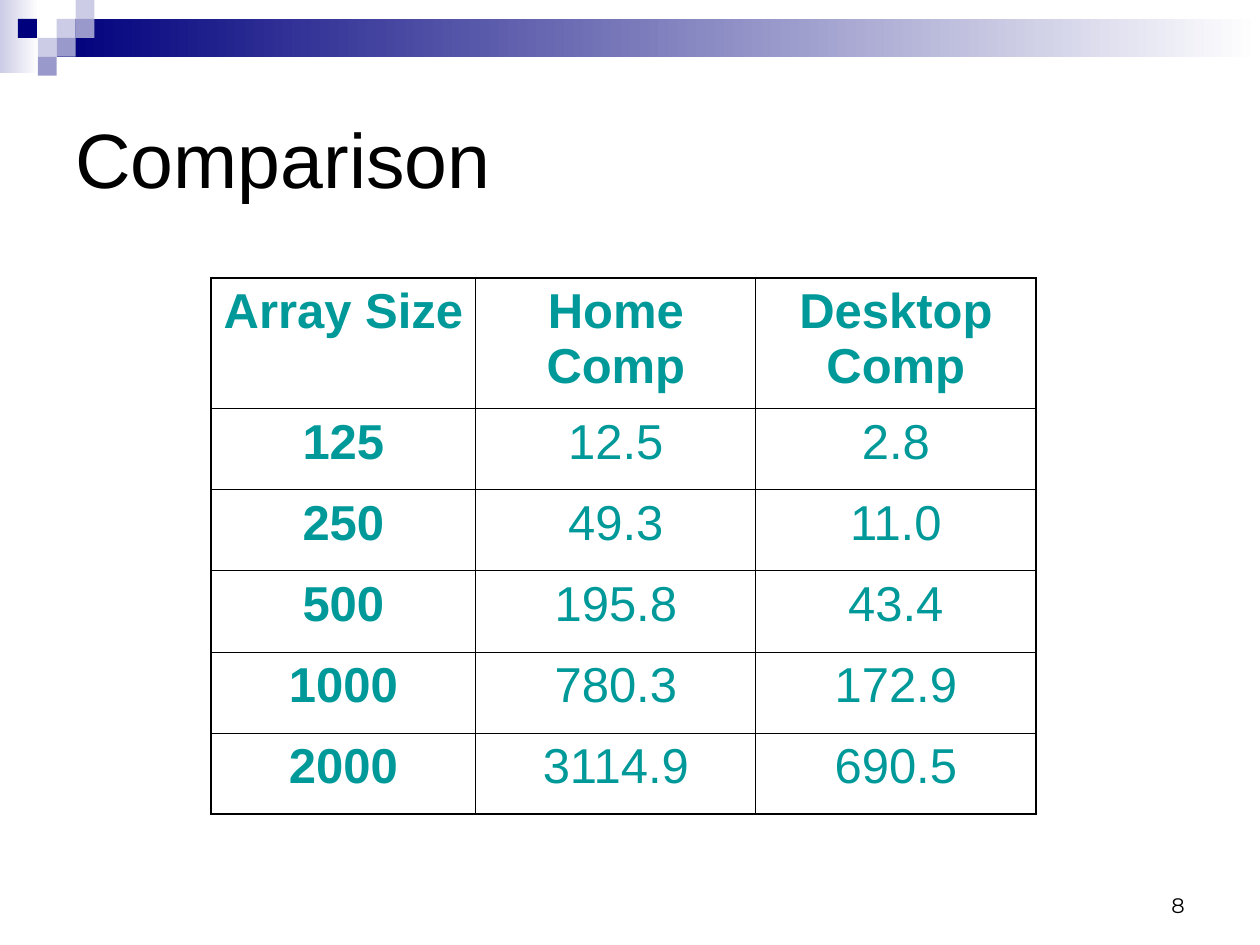
"""Build the Comparison slide with its table of timings by array size."""
from dataclasses import dataclass

import pptx
import pptx.dml.color
import pptx.enum.shapes
import pptx.enum.text
import pptx.oxml
import pptx.oxml.ns
import pptx.util

Pt = pptx.util.Pt
ALIGN = pptx.enum.text.PP_ALIGN
ANCHOR = pptx.enum.text.MSO_ANCHOR

NAVY, MID, PALE, WHITE = "00007D", "9999CC", "CCCCE6", "FFFFFF"
BLACK, TEAL = "000000", "009999"
UNIT = 10.8
THICK, THIN = 1.08, 0.45


@dataclass
class Block:
    left: float
    top: float
    width: float
    height: float
    color: str
    fade_to: str = ""


@dataclass
class Label:
    text: str
    left: float
    top: float
    width: float
    height: float
    font: str
    size: float
    align: ALIGN
    anchor: ANCHOR


def square(col: float, row: int, color: str) -> Block:
    return Block(col * UNIT, row * UNIT, UNIT, UNIT, color)


BLOCKS = [
    Block(0, 0, 22.3, 41.8, PALE, WHITE),
    Block(3 * UNIT, UNIT, 687.6, 2 * UNIT, NAVY, WHITE),
    square(3, 1, PALE),
    square(4, 0, PALE),
    square(4, 1, MID),
    square(2, 2, PALE),
    square(0.95, 1, NAVY),
    square(3, 2, MID),
    square(2, 3, MID),
]
LABELS = [
    Label("8", 516, 492, 168, 36, "Montserrat", 12, ALIGN.RIGHT, ANCHOR.BOTTOM),
    Label("Comparison", 36, 36, 648, 108, "Arial", 44, ALIGN.LEFT, ANCHOR.MIDDLE),
]
ROWS = [
    ("Array Size", "Home Comp", "Desktop Comp"),
    ("125", "12.5", "2.8"),
    ("250", "49.3", "11.0"),
    ("500", "195.8", "43.4"),
    ("1000", "780.3", "172.9"),
    ("2000", "3114.9", "690.5"),
]
COL_WIDTHS = [151.4, 160, 160]
ROW_HEIGHTS = [74.3] + [46.35] * 5


def rgb(color: str) -> pptx.dml.color.RGBColor:
    return pptx.dml.color.RGBColor.from_string(color)


def format_text(p, font: str, size: float, color: str, bold: bool, align: ALIGN) -> None:
    p.alignment = align
    for r in p.runs:
        r.font.name = font
        r.font.size = Pt(size)
        r.font.bold = bold
        r.font.color.rgb = rgb(color)


def draw_block(s, block: Block) -> None:
    sp = s.shapes.add_shape(
        pptx.enum.shapes.MSO_SHAPE.RECTANGLE,
        Pt(block.left), Pt(block.top), Pt(block.width), Pt(block.height))
    sp.shadow.inherit = False
    sp.line.fill.background()
    if block.fade_to:
        sp.fill.gradient()
        sp.fill.gradient_angle = 0
        for stop, color in zip(sp.fill.gradient_stops, (block.color, block.fade_to)):
            stop.color.rgb = rgb(color)
    else:
        sp.fill.solid()
        sp.fill.fore_color.rgb = rgb(block.color)


def draw_label(s, label: Label) -> None:
    sp = s.shapes.add_textbox(
        Pt(label.left), Pt(label.top), Pt(label.width), Pt(label.height))
    tf = sp.text_frame
    tf.word_wrap = True
    tf.vertical_anchor = label.anchor
    tf.text = label.text
    format_text(tf.paragraphs[0], label.font, label.size, BLACK, False, label.align)


def set_borders(cell, widths: dict[str, float]) -> None:
    tc_pr = cell._tc.get_or_add_tcPr()
    for i, (side, width) in enumerate(widths.items()):
        tc_pr.insert(i, pptx.oxml.parse_xml(
            f'<a:ln{side} {pptx.oxml.ns.nsdecls("a")} w="{int(Pt(width))}">'
            f'<a:solidFill><a:srgbClr val="{BLACK}"/></a:solidFill></a:ln{side}>'))


def draw_table(s, left: float, top: float) -> None:
    n_rows, n_cols = len(ROWS), len(COL_WIDTHS)
    table = s.shapes.add_table(
        n_rows, n_cols, Pt(left), Pt(top),
        Pt(sum(COL_WIDTHS)), Pt(sum(ROW_HEIGHTS))).table
    table.first_row = table.horz_banding = False
    for column, width in zip(table.columns, COL_WIDTHS):
        column.width = Pt(width)
    for row, height in zip(table.rows, ROW_HEIGHTS):
        row.height = Pt(height)
    for i, values in enumerate(ROWS):
        for j, value in enumerate(values):
            cell = table.cell(i, j)
            cell.fill.background()
            p = cell.text_frame.paragraphs[0]
            p.text = value
            p.space_before = Pt(7)
            format_text(p, "Arial", 28, TEAL, i == 0 or j == 0, ALIGN.CENTER)
            outer = {"L": j == 0, "R": j == n_cols - 1, "T": i == 0, "B": i == n_rows - 1}
            set_borders(cell, {k: THICK if edge else THIN for k, edge in outer.items()})


def main() -> None:
    prs = pptx.Presentation()
    prs.slide_width, prs.slide_height = Pt(720), Pt(540)
    s = prs.slides.add_slide(prs.slide_layouts[6])
    for block in BLOCKS:
        draw_block(s, block)
    for label in LABELS:
        draw_label(s, label)
    draw_table(s, 120.5, 159)
    prs.save("out.pptx")


if __name__ == "__main__":
    main()
